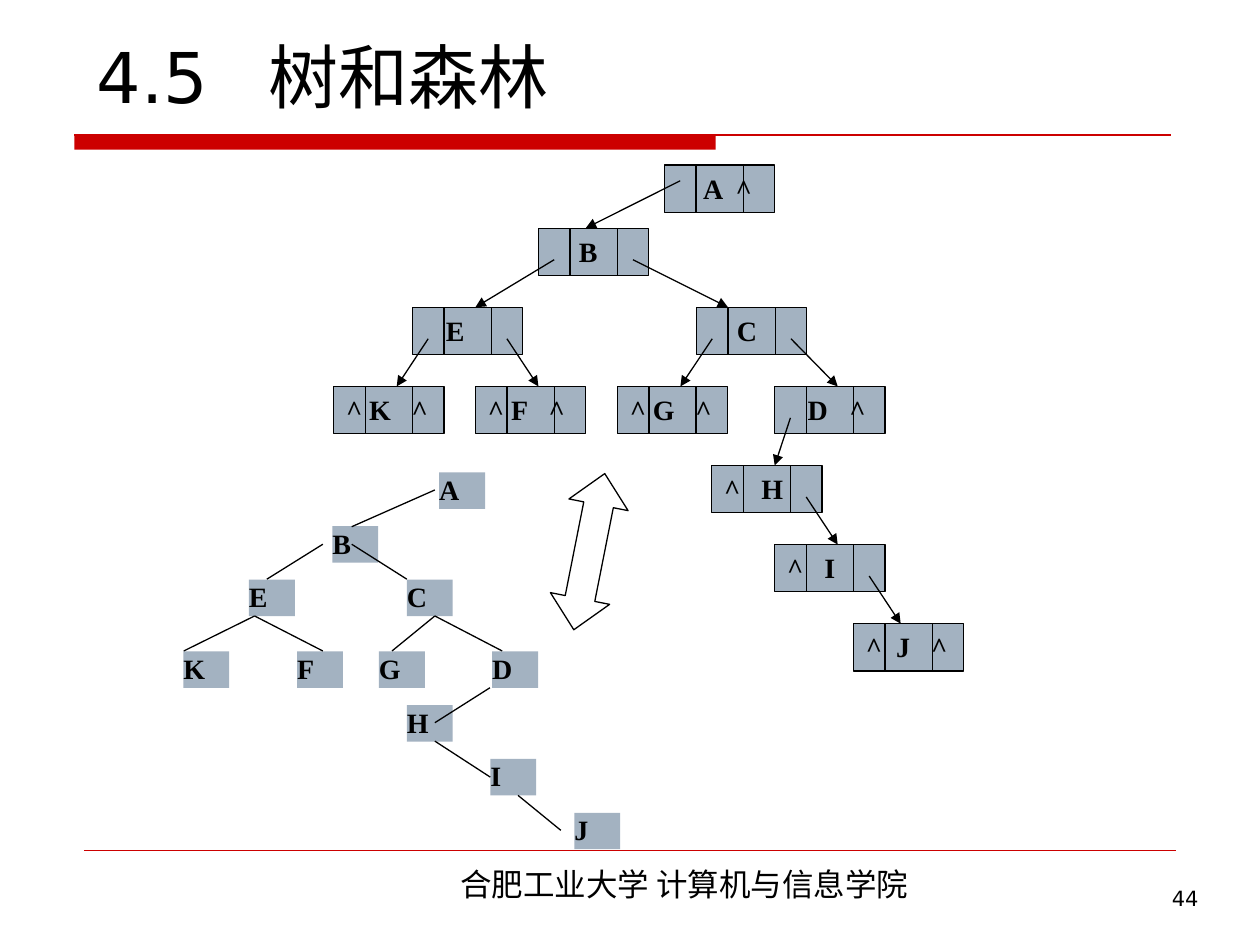
from lxml.etree import SubElement
from pptx import Presentation
from pptx.dml.color import RGBColor
from pptx.enum.shapes import MSO_CONNECTOR, MSO_SHAPE
from pptx.enum.text import MSO_ANCHOR, PP_ALIGN
from pptx.oxml.ns import qn
from pptx.util import Pt

RED, BLACK, WHITE, NODE_FILL = "CC0000", "000000", "FFFFFF", "A3B2C1"
CJK_FONT = "Noto Sans CJK SC"
NODE_FONT = {"name": "Times New Roman", "size": Pt(16), "bold": True}


def write(shape, text, font, align, insets=(7.2, 3.6), tabs=(),
          anchor=MSO_ANCHOR.TOP):
    """Put one formatted paragraph into a shape; tabs are in points."""
    frame = shape.text_frame
    across, down = (Pt(inset) for inset in insets)
    frame_format = {"word_wrap": True, "vertical_anchor": anchor,
                    "margin_left": across, "margin_right": across,
                    "margin_top": down, "margin_bottom": down}
    for name, value in frame_format.items():
        setattr(frame, name, value)
    para = frame.paragraphs[0]
    para.alignment = align
    if tabs:
        stops = SubElement(para._p.get_or_add_pPr(), qn("a:tabLst"))
        for position in tabs:
            SubElement(stops, qn("a:tab"), pos=str(int(Pt(position))), algn="l")
    span = para.add_run()
    span.text = text
    for name, value in font.items():
        setattr(span.font, name, value)
    span.font.color.rgb = RGBColor.from_string(BLACK)
    SubElement(span._r.get_or_add_rPr(), qn("a:ea"), typeface=font["name"])


def draw_line(x1, y1, x2, y2, color=BLACK, width=0.75, arrow=False):
    line = page.shapes.add_connector(
        MSO_CONNECTOR.STRAIGHT, Pt(x1), Pt(y1), Pt(x2), Pt(y2))
    line.line.color.rgb = RGBColor.from_string(color)
    line.line.width = Pt(width)
    if arrow:
        SubElement(line.line._get_or_add_ln(), qn("a:tailEnd"), type="triangle")
    SubElement(line._element.spPr, qn("a:effectLst"))
    return line


deck = Presentation()
deck.slide_width, deck.slide_height = Pt(720), Pt(540)
page = deck.slides.add_slide(deck.slide_layouts[5])

# Title, rules and footer
title = page.shapes.title
title.left, title.top, title.width, title.height = Pt(48), Pt(-25), Pt(630), Pt(96)
write(title, "4.5\t树和森林", {"name": "DejaVu Sans", "size": Pt(40)},
      PP_ALIGN.LEFT, tabs=[98.5], anchor=MSO_ANCHOR.BOTTOM)

bar = page.shapes.add_shape(
    MSO_SHAPE.RECTANGLE, Pt(42.5), Pt(77), Pt(366.5), Pt(8.6))
bar.shadow.inherit = False
bar.fill.solid()
bar.fill.fore_color.rgb = RGBColor.from_string(RED)
bar.line.fill.background()
draw_line(42.5, 77.2, 669, 77.2, RED, 1)
draw_line(48, 486, 672, 486, RED, 0.25)

footer = page.shapes.add_textbox(Pt(173), Pt(491), Pt(436), Pt(29))
write(footer, "合肥工业大学 计算机与信息学院", {"name": CJK_FONT, "size": Pt(18)},
      PP_ALIGN.CENTER)
number = page.shapes.add_textbox(Pt(535.5), Pt(502.5), Pt(156.5), Pt(37.5))
write(number, "44", {"name": "DejaVu Sans", "size": Pt(12)}, PP_ALIGN.RIGHT)

# Plain binary tree: left and top of each node
plain_nodes = {
    "A": (251, 270), "B": (190, 300.7), "E": (142.3, 331.3),
    "C": (232.5, 331.3), "K": (104.8, 372.3), "F": (169.8, 372.3),
    "G": (216.6, 372.3), "D": (281.3, 372.3), "H": (232.5, 403),
    "I": (280.2, 433.7), "J": (328.2, 464.5),
}
plain_boxes = {}
for letter, (left, top) in plain_nodes.items():
    box = page.shapes.add_shape(
        MSO_SHAPE.RECTANGLE, Pt(left), Pt(top), Pt(26.2), Pt(20.8))
    box.shadow.inherit = False
    box.fill.solid()
    box.fill.fore_color.rgb = RGBColor.from_string(NODE_FILL)
    box.line.fill.background()
    write(box, letter, NODE_FONT, PP_ALIGN.JUSTIFY, insets=(0, 0))
    plain_boxes[letter] = box

plain_edges = {
    "AB": (248.5, 280, 201, 301), "BE": (184.5, 311, 152.5, 331),
    "BC": (201, 311, 232.5, 331), "EK": (145.5, 352, 105, 372),
    "EF": (145.5, 352, 184.5, 372), "CG": (248.5, 352, 224, 372),
    "CD": (248.5, 352, 287, 372), "DH": (280, 393, 248.5, 413),
    "HI": (248.5, 423.5, 280, 444), "IJ": (296, 454.5, 320.5, 474.5),
}
for name, ends in plain_edges.items():
    edge = draw_line(*ends)
    if name == "HI":
        edge.end_connect(plain_boxes["I"], 1)

# Two-way arrow between the trees
arrow = page.shapes.add_shape(
    MSO_SHAPE.LEFT_RIGHT_ARROW, Pt(291.2), Pt(298), Pt(91), Pt(34.5))
arrow.rotation = 101.2
arrow.adjustments[0], arrow.adjustments[1] = 0.5, 0.528
arrow.shadow.inherit = False
arrow.fill.solid()
arrow.fill.fore_color.rgb = RGBColor.from_string(WHITE)
arrow.line.color.rgb = RGBColor.from_string(BLACK)
arrow.line.width = Pt(0.75)

# Linked storage: left, level, text, tab stops
NODE_WIDTH, NODE_HEIGHT = 63, 27
LEFT_WALL, RIGHT_WALL = 18, 45
level_tops = [94.3] + [130.4 + 45.2 * step for step in range(6)]
linked_nodes = {
    "A": (379.7, 0, "\tA\t^", [15, 33.6]),
    "B": (307.7, 1, "\tB", [16]),
    "E": (235.7, 2, "\tE", [12]),
    "C": (398, 2, "\tC", [16]),
    "K": (190.7, 3, "^ K\t^", [37.5]),
    "F": (271.7, 3, "^ F\t^", [34.7]),
    "G": (352.8, 3, "^ G\t^", [37.5]),
    "D": (442.7, 3, "\tD\t^", [11.8, 35.6]),
    "H": (406.7, 4, "^\tH", [21.3]),
    "I": (442.7, 5, "^\tI", [21.3]),
    "J": (487.7, 6, "^\tJ\t^", [17.3, 37.3]),
}
for left, level, text, tabs in linked_nodes.values():
    top = level_tops[level]
    box = page.shapes.add_shape(
        MSO_SHAPE.RECTANGLE, Pt(left), Pt(top), Pt(NODE_WIDTH), Pt(NODE_HEIGHT))
    box.shadow.inherit = False
    box.fill.solid()
    box.fill.fore_color.rgb = RGBColor.from_string(NODE_FILL)
    box.line.color.rgb = RGBColor.from_string(BLACK)
    box.line.width = Pt(0.75)
    write(box, text, NODE_FONT, PP_ALIGN.JUSTIFY, tabs=tabs)
    for wall in (LEFT_WALL, RIGHT_WALL):
        draw_line(left + wall, top, left + wall, top + NODE_HEIGHT)

# Pointers: parent, child, offset of the pointer slot, offset of the arrowhead
LEFT_SLOT, RIGHT_SLOT = 9, 54
pointers = [
    ("A", "B", LEFT_SLOT, 27), ("B", "E", LEFT_SLOT, 36),
    ("B", "C", RIGHT_SLOT, 18), ("E", "K", LEFT_SLOT, 36),
    ("E", "F", RIGHT_SLOT, 36), ("C", "G", LEFT_SLOT, 36),
    ("C", "D", RIGHT_SLOT, 36), ("D", "H", LEFT_SLOT, 36),
    ("H", "I", RIGHT_SLOT, 36), ("I", "J", RIGHT_SLOT, 27),
]
for parent, child, slot, head in pointers:
    parent_left, parent_level = linked_nodes[parent][:2]
    child_left, child_level = linked_nodes[child][:2]
    drop = 9 if parent == "A" else 18
    draw_line(parent_left + slot, level_tops[parent_level] + drop,
              child_left + head, level_tops[child_level], arrow=True)

deck.save("out.pptx")
